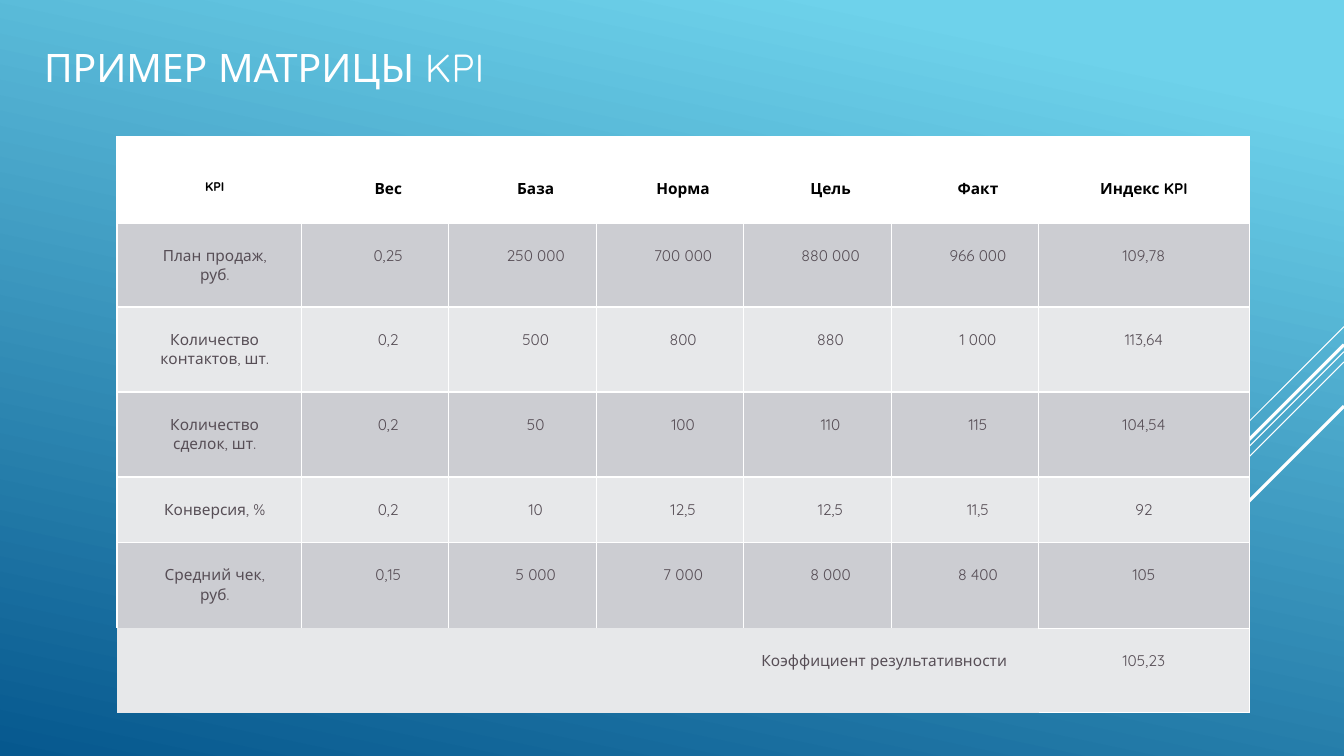
"""Build a slide with a KPI matrix table on a blue gradient."""
from dataclasses import dataclass

import lxml.etree
import pptx
import pptx.dml.color
import pptx.enum.shapes
import pptx.enum.text
import pptx.oxml
import pptx.oxml.ns
import pptx.util

W, H = pptx.util.Inches(13.33), pptx.util.Inches(7.5)
FONT = "Quicksand"
COLORS = {
    "sky": "6ED2EB", "deep": "06588E", "white": "FFFFFF", "black": "000000",
    "text": "574E56", "dark_band": "CCCDD2", "light_band": "E7E8EA",
}
ALIGN = pptx.enum.text.PP_ALIGN
ANCHOR = pptx.enum.text.MSO_ANCHOR
qn = pptx.oxml.ns.qn

COL_SHARES = [13.73] + [10.97] * 5 + [15.68]
ROW_SHARES = [11.37, 11.17, 11.25, 11.25, 8.63, 11.35, 11.2]
HEADER = ["KPI", "Вес", "База", "Норма", "Цель", "Факт", "Индекс KPI"]
METRICS = [
    ["План продаж, руб.", "0,25", "250 000", "700 000", "880 000", "966 000", "109,78"],
    ["Количество контактов, шт.", "0,2", "500", "800", "880", "1 000", "113,64"],
    ["Количество сделок, шт.", "0,2", "50", "100", "110", "115", "104,54"],
    ["Конверсия, %", "0,2", "10", "12,5", "12,5", "11,5", "92"],
    ["Средний чек, руб.", "0,15", "5 000", "7 000", "8 000", "8 400", "105"],
]
TOTAL = ["Коэффициент результативности", "", "", "", "", "", "105,23"]


@dataclass(frozen=True)
class Streak:
    """A diagonal from the right edge, in shares of the slide height."""
    top: float
    run: float
    weight: float


STREAKS = [
    Streak(43.2, 13.33, 0.75),
    Streak(46.53, 43.47, 0.75),
    Streak(47.87, 27.6, 0.75),
    Streak(45.6, 25.47, 2.25),
    Streak(53.73, 18.53, 2.25),
]


def sx(share: float) -> int:
    """Return a percentage of the slide width."""
    return round(W * share / 100)


def sy(share: float) -> int:
    """Return a percentage of the slide height."""
    return round(H * share / 100)


def rgb(name: str) -> pptx.dml.color.RGBColor:
    """Return a palette colour."""
    return pptx.dml.color.RGBColor.from_string(COLORS[name])


def write(tf, text: str, *, size: float, color: str, bold: bool = False,
          align=ALIGN.LEFT) -> None:
    """Put one formatted run into a text frame."""
    p = tf.paragraphs[0]
    p.alignment = align
    r = p.add_run()
    r.text = text
    r.font.name, r.font.size, r.font.bold = FONT, pptx.util.Pt(size), bold
    r.font.color.rgb = rgb(color)


def paint_background(slide) -> None:
    """Fill the background with the gradient."""
    fill = slide.background.fill
    fill.gradient()
    fill.gradient_angle = 258
    for stop, name, position in zip(fill.gradient_stops, ("sky", "deep"), (0.1, 1)):
        stop.color.rgb = rgb(name)
        stop.position = position


def draw_streak(slide, streak: Streak) -> None:
    """Draw one white diagonal line."""
    run = sy(streak.run)
    sp = slide.shapes.add_connector(
        pptx.enum.shapes.MSO_CONNECTOR.STRAIGHT,
        W, sy(streak.top), W - run, sy(streak.top) + run)
    sp.line.color.rgb = rgb("white")
    sp.line.width = pptx.util.Pt(streak.weight)
    lxml.etree.SubElement(sp._element.spPr, qn("a:effectLst"))


def draw_title(slide) -> None:
    """Draw the slide title."""
    sp = slide.shapes.add_textbox(sx(2.55), sy(-4), sx(49.36), sy(16.67))
    tf = sp.text_frame
    tf.word_wrap = True
    tf.vertical_anchor = ANCHOR.BOTTOM
    write(tf, "ПРИМЕР МАТРИЦЫ KPI", size=28, color="white")


def set_borders(cell, weights: dict[str, float]) -> None:
    """Set white borders by side, leaving the sides not named empty."""
    tcPr = cell._tc.get_or_add_tcPr()
    for i, side in enumerate("LRTB"):
        ln = pptx.oxml.parse_xml(f'<a:ln{side} {pptx.oxml.ns.nsdecls("a")}/>')
        if side in weights:
            ln.set("w", str(pptx.util.Pt(weights[side])))
            fill = lxml.etree.SubElement(ln, qn("a:solidFill"))
            lxml.etree.SubElement(fill, qn("a:srgbClr"), val=COLORS["white"])
        else:
            lxml.etree.SubElement(ln, qn("a:noFill"))
        tcPr.insert(i, ln)


def border_weights(row: int, col: int) -> dict[str, float]:
    """Return the border weights of a cell."""
    last_row, last_col = len(METRICS) + 1, len(HEADER) - 1
    if row == last_row:
        return {"T": 1, "R": 1, "B": 1} if col == last_col else {}
    weights = {"L": 1, "R": 1, "T": 1, "B": 3 if row == 0 else 1}
    if row == last_row - 1 and col < last_col:
        del weights["B"]
    return weights


def fill_cell(cell, text: str, row: int, col: int) -> None:
    """Format one table cell and write its text."""
    head, total = row == 0, row == len(METRICS) + 1
    band = "white" if head else "dark_band" if row % 2 else "light_band"
    cell.fill.solid()
    cell.fill.fore_color.rgb = rgb(band)
    cell.margin_left = sx(3.15)
    cell.margin_right = sx({0: 2.33, len(HEADER) - 1: 3.15}.get(col, 1.2))
    cell.margin_top = sy(5.6 if head else 3.07)
    cell.margin_bottom = sy(5.6 if total else 3.07)
    set_borders(cell, border_weights(row, col))
    if text:
        write(cell.text_frame, text, size=9 if head and col == 0 else 11,
              color="black" if head else "text", bold=head,
              align=ALIGN.RIGHT if total and col == 0 else ALIGN.CENTER)


def draw_matrix(slide) -> None:
    """Draw the KPI table."""
    rows = [HEADER, *METRICS, TOTAL]
    table = slide.shapes.add_table(
        len(rows), len(HEADER), sx(8.7), sy(18.08),
        sx(sum(COL_SHARES)), sy(sum(ROW_SHARES))).table
    table.first_row = table.horz_banding = False
    for column, share in zip(table.columns, COL_SHARES):
        column.width = sx(share)
    for row, share in zip(table.rows, ROW_SHARES):
        row.height = sy(share)
    for i, texts in enumerate(rows):
        for j, text in enumerate(texts):
            fill_cell(table.cell(i, j), text, i, j)
    last = len(rows) - 1
    table.cell(last, 0).merge(table.cell(last, len(HEADER) - 2))


def main() -> None:
    """Build and save the presentation."""
    prs = pptx.Presentation()
    prs.slide_width, prs.slide_height = W, H
    slide = prs.slides.add_slide(prs.slide_layouts[6])
    paint_background(slide)
    for streak in STREAKS:
        draw_streak(slide, streak)
    draw_title(slide)
    draw_matrix(slide)
    prs.save("out.pptx")


if __name__ == "__main__":
    main()
